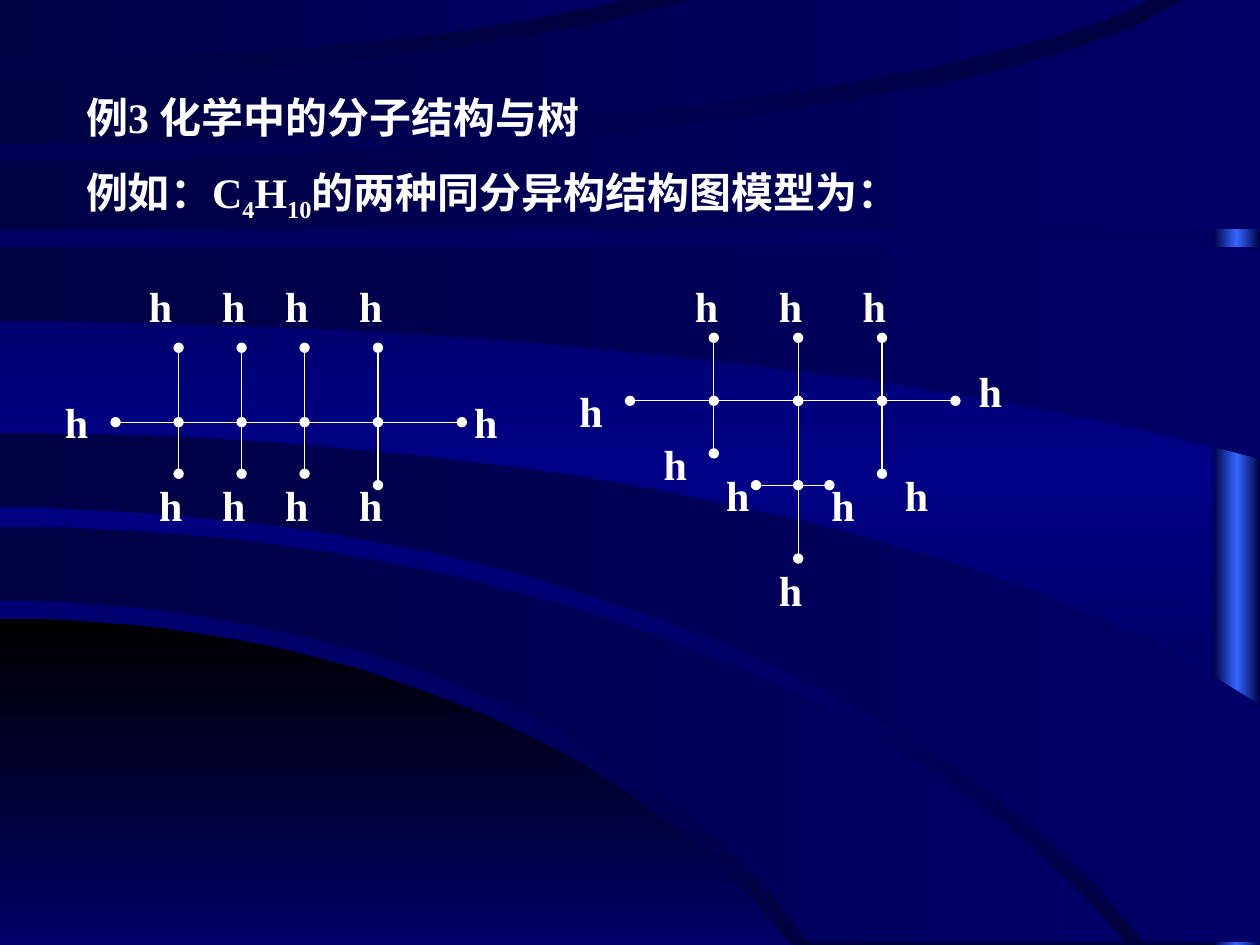
from copy import deepcopy
from math import sqrt

from lxml.etree import SubElement
from pptx import Presentation
from pptx.dml.color import RGBColor as Rgb
from pptx.enum.shapes import MSO_CONNECTOR as Link, MSO_SHAPE as Form
from pptx.enum.text import MSO_ANCHOR as Anchor, MSO_AUTO_SIZE as Fit, PP_ALIGN as Align
from pptx.oxml.ns import qn
from pptx.util import Cm, Pt

HUES = {"text": "FFFFFF", "navy": "000044", "deep": "000066", "black": "000000",
        "glow": "3366FF", "edge": "00003E", "core": "000086"}
FONT = "Times New Roman"
UNIT = Cm(2.54) / 100
STEPS = 24


def paint(item, fill, names, angle=0):
    fill.gradient()
    fill.gradient_angle = angle
    stops = next(item.element.iter(qn("a:gsLst")))
    while len(stops) < len(names):
        stops.append(deepcopy(stops[0]))
    for i, (stop, name) in enumerate(zip(fill.gradient_stops, names)):
        stop.position = i / (len(names) - 1)
        stop.color.rgb = Rgb.from_string(HUES[name])


def finish(shape, names, angle=0):
    paint(shape, shape.fill, names, angle)
    shape.line.fill.background()
    shape.shadow.inherit = False


def arc(start, wide, high, end):
    xs = [end * i / STEPS for i in range(STEPS + 1)]
    return [(x, start + high * (1 - sqrt(1 - (x / wide) ** 2))) for x in xs]


def outline(slide, near, far, names=("navy", "deep"), angle=0):
    points = near + far[::-1]
    pen = slide.shapes.build_freeform(*points[0], scale=UNIT)
    pen.add_line_segments(points[1:], close=True)
    finish(pen.convert_to_shape(), names, angle)


def write(shape, *parts, size=24, bold=True, color="text", anchor=Anchor.TOP,
          space=1.0, hang=0):
    frame = shape.text_frame
    frame.word_wrap = True
    frame.auto_size = Fit.SHAPE_TO_FIT_TEXT
    frame.vertical_anchor = anchor
    para = frame.paragraphs[0]
    props = para._p.get_or_add_pPr()
    props.set("marL", str(Cm(hang)))
    props.set("indent", str(-Cm(hang)))
    SubElement(props, qn("a:buNone"))
    para.alignment = Align.LEFT
    para.line_spacing = space
    para.space_before = Pt(0)
    for part in parts:
        run = para.add_run()
        run.text = part
        run.font.name = FONT
        run.font.size = Pt(size)
        run.font.bold = bold
        run.font.color.rgb = Rgb.from_string(HUES[color])
        if part.isdigit():
            run._r.get_or_add_rPr().set("baseline", "-25000")


def place(slide, holder, left, top, width, height):
    holder.left, holder.top = Cm(left), Cm(top)
    holder.width, holder.height = Cm(width), Cm(height)
    slide.shapes.element.append(holder.element)


def bond(group, x1, y1, x2, y2, dots=True):
    line = group.shapes.add_connector(Link.STRAIGHT, Cm(x1), Cm(y1), Cm(x2), Cm(y2))
    line.line.color.rgb = Rgb.from_string(HUES["text"])
    line.line.width = Pt(0.75)
    props = line.element.spPr
    if dots:
        for end in ("a:headEnd", "a:tailEnd"):
            SubElement(props.find(qn("a:ln")), qn(end), type="oval")
    SubElement(props, qn("a:effectLst"))


def label(group, left, top):
    box = group.shapes.add_textbox(Cm(left), Cm(top), Cm(1.52), Cm(1.27))
    write(box, "h")


def molecule(slide, xs, axis, stems, marks):
    group = slide.shapes.add_group_shape()
    for i, (x1, x2) in enumerate(zip(xs, xs[1:])):
        bond(group, x1, axis, x2, axis, dots=i in (0, 2, len(xs) - 2))
    for stem in stems:
        bond(group, *stem)
    for mark in marks:
        label(group, *mark)


def backdrop(slide):
    paint(slide, slide.background.fill, ("edge", "core", "edge"), 270)
    strip = slide.shapes.add_shape(Form.RECTANGLE, Cm(24.46), 0, Cm(0.94), Cm(19.05))
    finish(strip, ("navy", "glow", "navy"))
    outline(slide, arc(491, 704, 473, 628), [(0, 750)], ("black", "deep"), 270)
    outline(slide, arc(418, 987, 575, 893), arc(477, 705, 462, 642))
    outline(slide, arc(344, 1120, 393, 1000),
            arc(403, 1000, 592, 909) + [(1000, 748)])
    outline(slide, arc(255, 1350, 332, 1000), [(0, 196), (1000, 196)])
    outline(slide, arc(128, 970, -170, 943), [(0, 182), (1000, 182), (1000, -2)])
    outline(slide, arc(62, 740, -188, 556), arc(114, 973, -174, 917))
    outline(slide, arc(47, 620, -119, 501), [(0, -2)])


def main():
    deck = Presentation()
    deck.slide_width, deck.slide_height = Cm(25.4), Cm(19.05)
    slide = deck.slides.add_slide(deck.slide_layouts[1])
    title, body = slide.placeholders
    backdrop(slide)

    place(slide, title, 1.48, 1.72, 20.75, 1.27)
    write(title, "例3 化学中的分子结构与树", anchor=Anchor.MIDDLE)
    place(slide, body, 1.48, 2.99, 22.86, 1.65)
    write(body, "例如：C", "4", "H", "10", "的两种同分异构结构图模型为：",
          space=1.2, hang=1.27)

    xs = [2.33, 3.6, 4.87, 6.14, 7.62, 9.31]
    stems = [(x, 7.01, x, 9.78 if x == 7.62 else 9.55) for x in xs[1:-1]]
    marks = [(x, 5.54) for x in (2.75, 4.23, 5.5, 6.99)]
    marks += [(x, 9.55) for x in (2.96, 4.23, 5.5, 6.99)]
    marks += [(x, 7.87) for x in (1.06, 9.31)]
    molecule(slide, xs, 8.51, stems, marks)

    xs = [12.7, 14.39, 16.09, 17.78, 19.26]
    stems = [(x, 6.81, x, end) for x, end in zip(xs[1:-1], (9.14, 8.08, 9.55))]
    stems += [(15.24, 9.78, 16.72, 9.78), (16.09, 9.78, 16.09, 11.26),
              (16.09, 8.08, 16.09, 9.78, False)]
    marks = [(x, 5.54) for x in (13.76, 15.45, 17.14)]
    marks += [(x, 9.34) for x in (14.39, 17.99)]
    marks += [(11.43, 7.64), (19.48, 7.24), (13.13, 8.71), (15.45, 11.26), (16.51, 9.55)]
    molecule(slide, xs, 8.08, stems, marks)

    deck.save("out.pptx")


if __name__ == "__main__":
    main()
